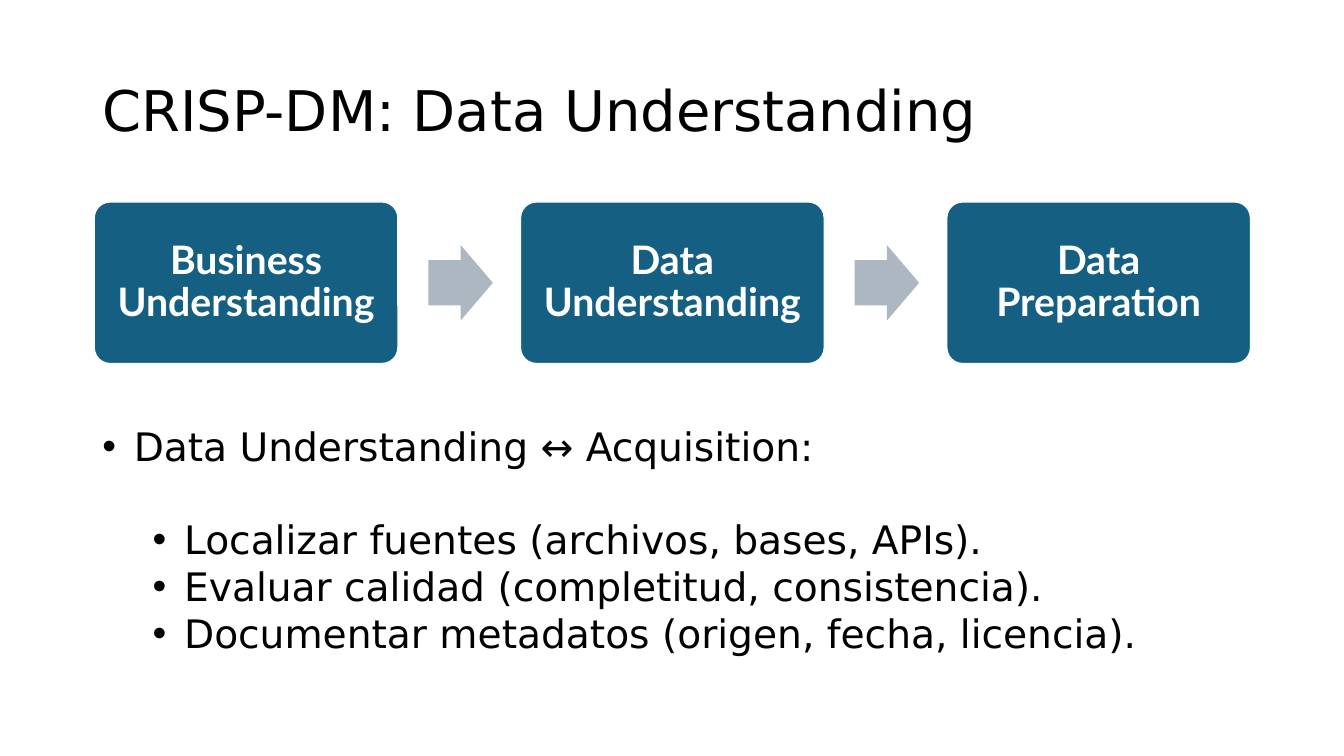
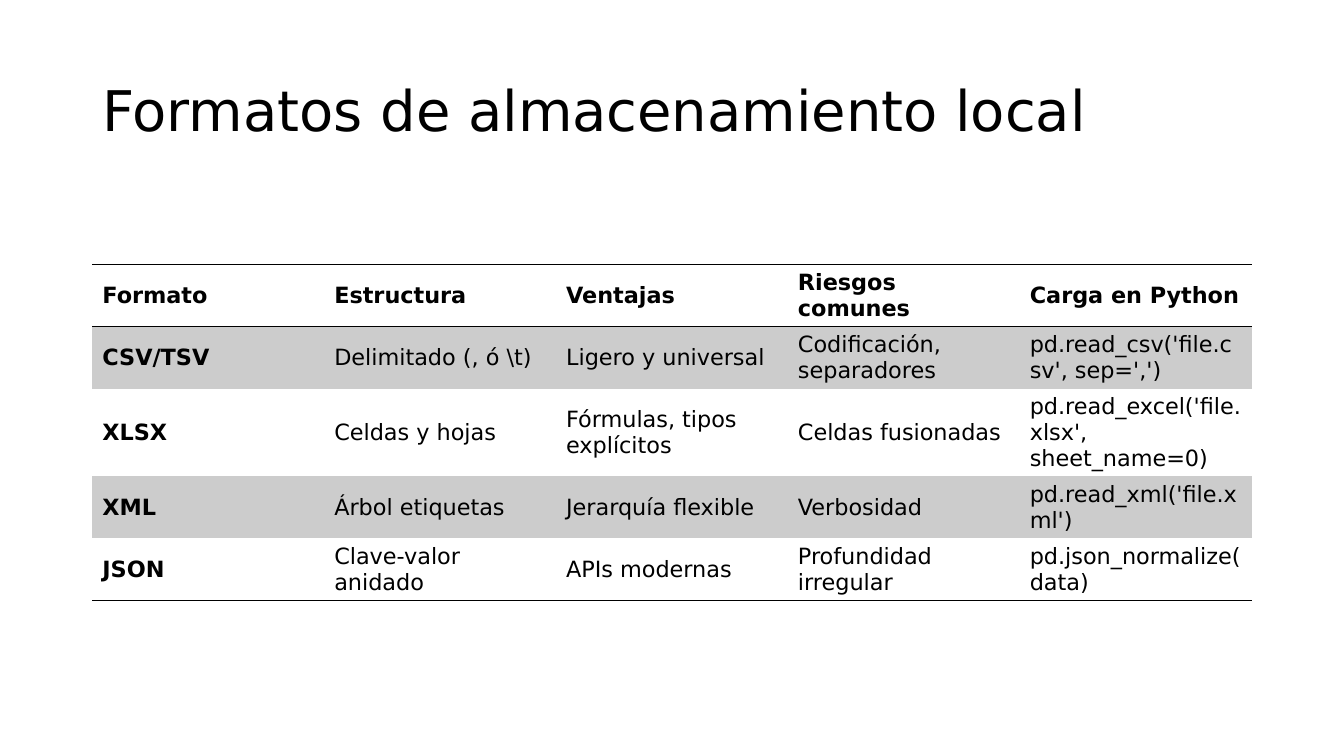
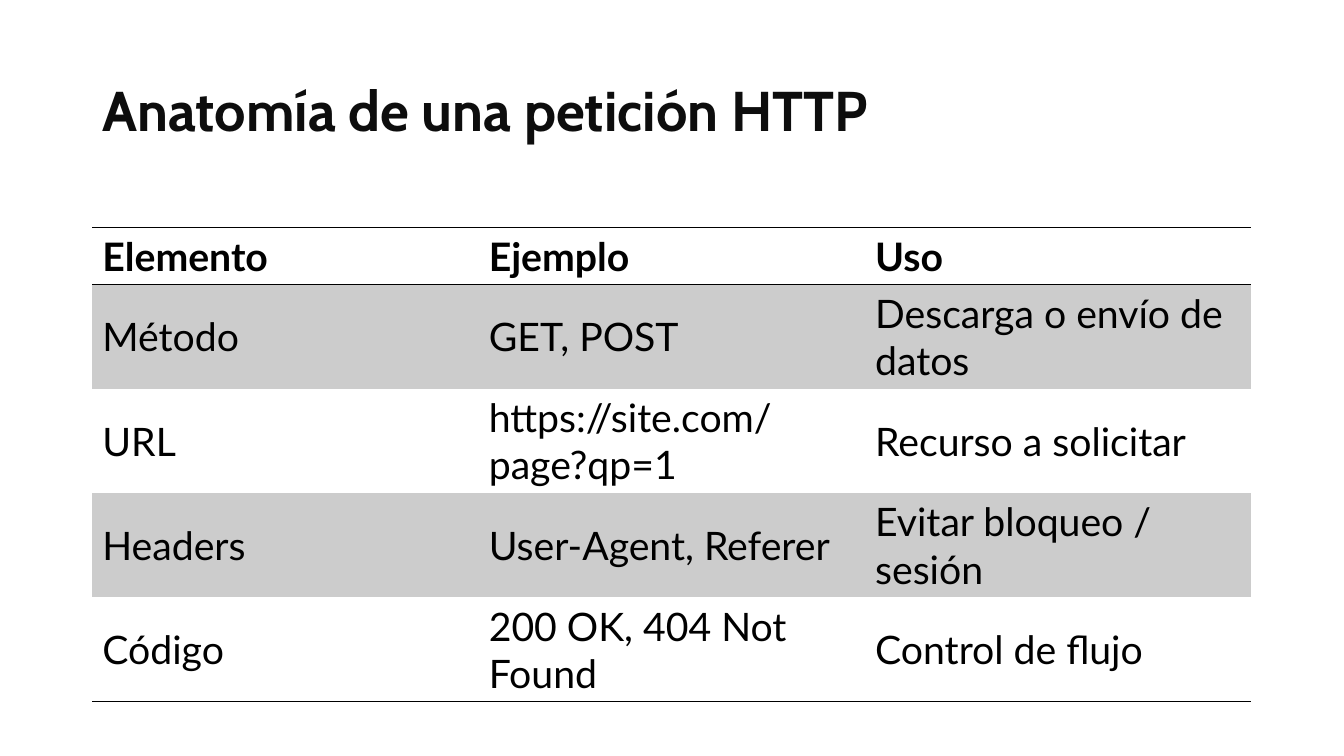
from lxml import etree
from pptx import Presentation
from pptx.dml.color import RGBColor
from pptx.enum import shapes, text
from pptx.oxml import ns
from pptx.util import Pt

# Shared style
BLACK, WHITE = "000000", "FFFFFF"
BOX_BLUE, ARROW_GREY, BAND_GREY = "156082", "ACB7C1", "CCCCCC"
SANS, LATO, CABIN = "DejaVu Sans", "Lato", "Cabin"
LEFT, WIDTH = 66, 828
SHAPE = shapes.MSO_SHAPE
MIDDLE = text.MSO_ANCHOR.MIDDLE


def rgb(value):
    return RGBColor.from_string(value)


def format_runs(p, size, font, color=BLACK, bold=False):
    for r in p.runs:
        r.font.size = Pt(size)
        r.font.name = font
        r.font.bold = bold
        r.font.color.rgb = rgb(color)


def add_slide(prs, title, font=SANS, color=BLACK, bold=False):
    s = prs.slides.add_slide(prs.slide_layouts[5])
    sp = s.shapes.title
    sp.left, sp.top, sp.width, sp.height = Pt(LEFT), Pt(29), Pt(WIDTH), Pt(104.5)
    tf = sp.text_frame
    tf.text = title
    tf.auto_size = text.MSO_AUTO_SIZE.NONE
    tf.vertical_anchor = MIDDLE
    p = tf.paragraphs[0]
    p.alignment = text.PP_ALIGN.LEFT
    p.line_spacing = 0.9
    format_runs(p, 40, font, color, bold)
    return s


# Process chain
def add_filled_shape(s, kind, x, y, w, h, fill, adjustments):
    sp = s.shapes.add_shape(kind, Pt(x), Pt(y), Pt(w), Pt(h))
    sp.shadow.inherit = False
    sp.fill.solid()
    sp.fill.fore_color.rgb = rgb(fill)
    sp.line.fill.background()
    for i, value in enumerate(adjustments):
        sp.adjustments[i] = value
    return sp


def add_step(s, x, label):
    sp = add_filled_shape(s, SHAPE.ROUNDED_RECTANGLE, x, 144, 217.5, 116, BOX_BLUE, [0.1])
    sp.line.color.rgb = rgb(WHITE)
    sp.line.width = Pt(1.5)
    tf = sp.text_frame
    tf.text = label
    tf.word_wrap = True
    tf.vertical_anchor = MIDDLE
    tf.margin_left = tf.margin_right = tf.margin_top = tf.margin_bottom = Pt(8)
    p = tf.paragraphs[0]
    p.alignment = text.PP_ALIGN.CENTER
    p.line_spacing = 0.9
    format_runs(p, 28, LATO, WHITE, True)


def add_process(s, labels, x=67, pitch=304.5):
    for i, label in enumerate(labels):
        if i:
            add_filled_shape(s, SHAPE.RIGHT_ARROW, x + i * pitch - 65.5, 175, 46, 54,
                             ARROW_GREY, [0.6, 0.5])
        add_step(s, x + i * pitch, label)


# Bulleted list
def add_bullet(p, indent, hanging=22.5):
    pPr = p._p.get_or_add_pPr()
    pPr.set("marL", str(Pt(indent)))
    pPr.set("indent", str(-Pt(hanging)))
    etree.SubElement(pPr, ns.qn("a:buFont")).set("typeface", "Arial")
    etree.SubElement(pPr, ns.qn("a:buChar")).set("char", "•")


def add_bullet_list(s, heading, items, line=33.5):
    sp = s.shapes.add_textbox(Pt(LEFT), Pt(298), Pt(WIDTH), Pt(177))
    tf = sp.text_frame
    tf.word_wrap = True
    for i, item in enumerate([heading] + items):
        p = tf.add_paragraph() if i else tf.paragraphs[0]
        p.text = item
        p.level = 1 if i else 0
        p.line_spacing = Pt(line)
        p.space_after = Pt(0 if i else line)
        add_bullet(p, 58.5 if i else 22.5)
        format_runs(p, 28, SANS)


# Ruled table
def set_borders(cell, top, bottom):
    tcPr = cell._tc.get_or_add_tcPr()
    for side, visible in (("L", False), ("R", False), ("T", top), ("B", bottom)):
        ln = etree.SubElement(tcPr, ns.qn("a:ln" + side), w=str(Pt(1)))
        if visible:
            fill = etree.SubElement(ln, ns.qn("a:solidFill"))
            etree.SubElement(fill, ns.qn("a:srgbClr"), val=BLACK)
        else:
            etree.SubElement(ln, ns.qn("a:noFill"))


def add_ruled_table(s, rows, top, heights, size, font, bold_first_column=False):
    columns = len(rows[0])
    table = s.shapes.add_table(len(rows), columns, Pt(LEFT), Pt(top),
                               Pt(WIDTH), Pt(sum(heights))).table
    table.first_row = table.horz_banding = False
    for column in table.columns:
        column.width = Pt(WIDTH / columns)
    for i, row in enumerate(rows):
        table.rows[i].height = Pt(heights[i])
        for j, label in enumerate(row):
            cell = table.cell(i, j)
            cell.text = label
            cell.vertical_anchor = MIDDLE
            set_borders(cell, i in (0, 1), i in (0, len(rows) - 1))
            if i % 2:
                cell.fill.solid()
                cell.fill.fore_color.rgb = rgb(BAND_GREY)
            else:
                cell.fill.background()
            bold = i == 0 or (bold_first_column and j == 0)
            format_runs(cell.text_frame.paragraphs[0], size, font, bold=bold)


def main():
    prs = Presentation()
    prs.slide_width, prs.slide_height = Pt(960), Pt(540)

    # Data understanding
    s = add_slide(prs, "CRISP-DM: Data Understanding")
    add_process(s, ["Business Understanding", "Data Understanding", "Data Preparation"])
    add_bullet_list(s, "Data Understanding ↔ Acquisition:", [
        "Localizar fuentes (archivos, bases, APIs).",
        "Evaluar calidad (completitud, consistencia).",
        "Documentar metadatos (origen, fecha, licencia).",
    ])

    # Local storage formats
    s = add_slide(prs, "Formatos de almacenamiento local")
    add_ruled_table(s, [
        ["Formato", "Estructura", "Ventajas", "Riesgos comunes", "Carga en Python"],
        ["CSV/TSV", "Delimitado (, ó \\t)", "Ligero y universal",
         "Codificación, separadores", "pd.read_csv('file.csv', sep=',')"],
        ["XLSX", "Celdas y hojas", "Fórmulas, tipos explícitos",
         "Celdas fusionadas", "pd.read_excel('file.xlsx', sheet_name=0)"],
        ["XML", "Árbol etiquetas", "Jerarquía flexible",
         "Verbosidad", "pd.read_xml('file.xml')"],
        ["JSON", "Clave-valor anidado", "APIs modernas",
         "Profundidad irregular", "pd.json_normalize(data)"],
    ], 189, [44.3, 44.3, 62.8, 44.3, 44.3], 16, SANS, bold_first_column=True)

    # HTTP request
    s = add_slide(prs, "Anatomía de una petición HTTP", CABIN, "0D0D0D", True)
    add_ruled_table(s, [
        ["Elemento", "Ejemplo", "Uso"],
        ["Método", "GET, POST", "Descarga o envío de datos"],
        ["URL", "https://site.com/page?qp=1", "Recurso a solicitar"],
        ["Headers", "User-Agent, Referer", "Evitar bloqueo / sesión"],
        ["Código", "200 OK, 404 Not Found", "Control de flujo"],
    ], 162.5, [40.8] + [74.4] * 4, 28, LATO)

    prs.save("out.pptx")


if __name__ == "__main__":
    main()
